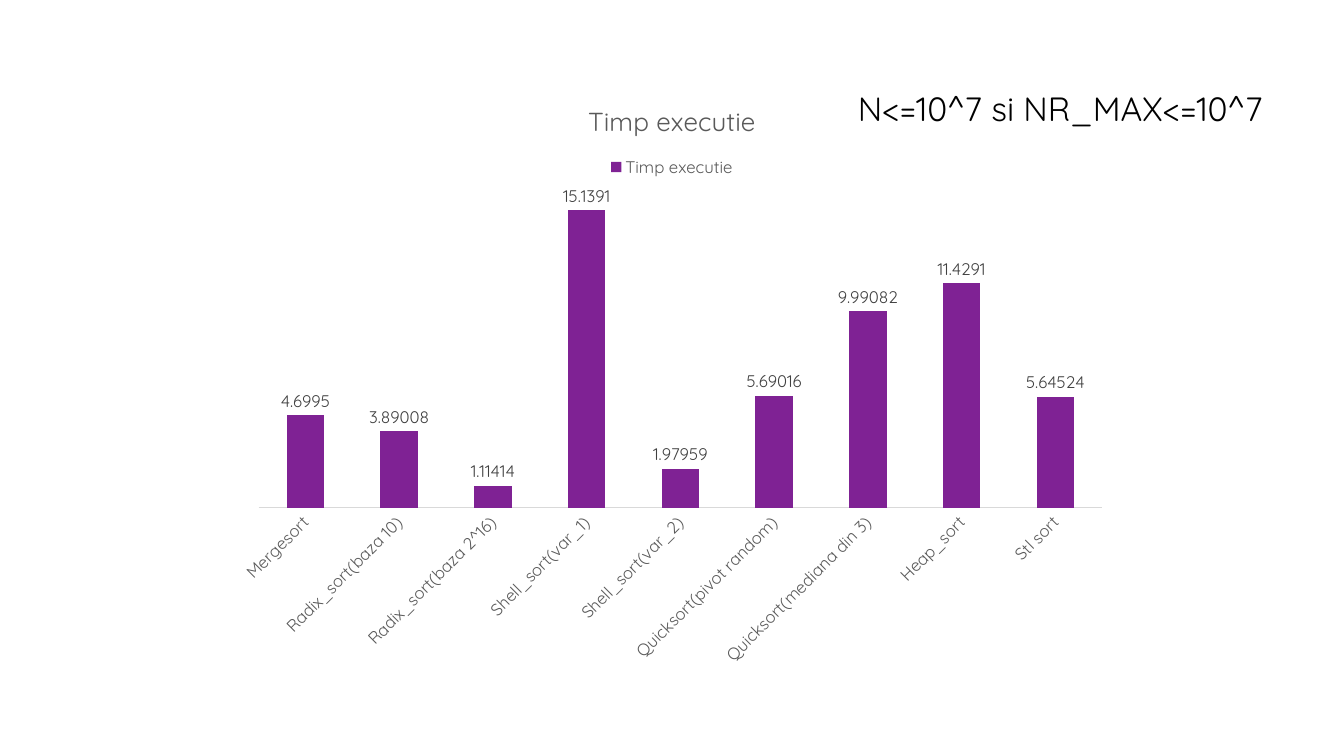
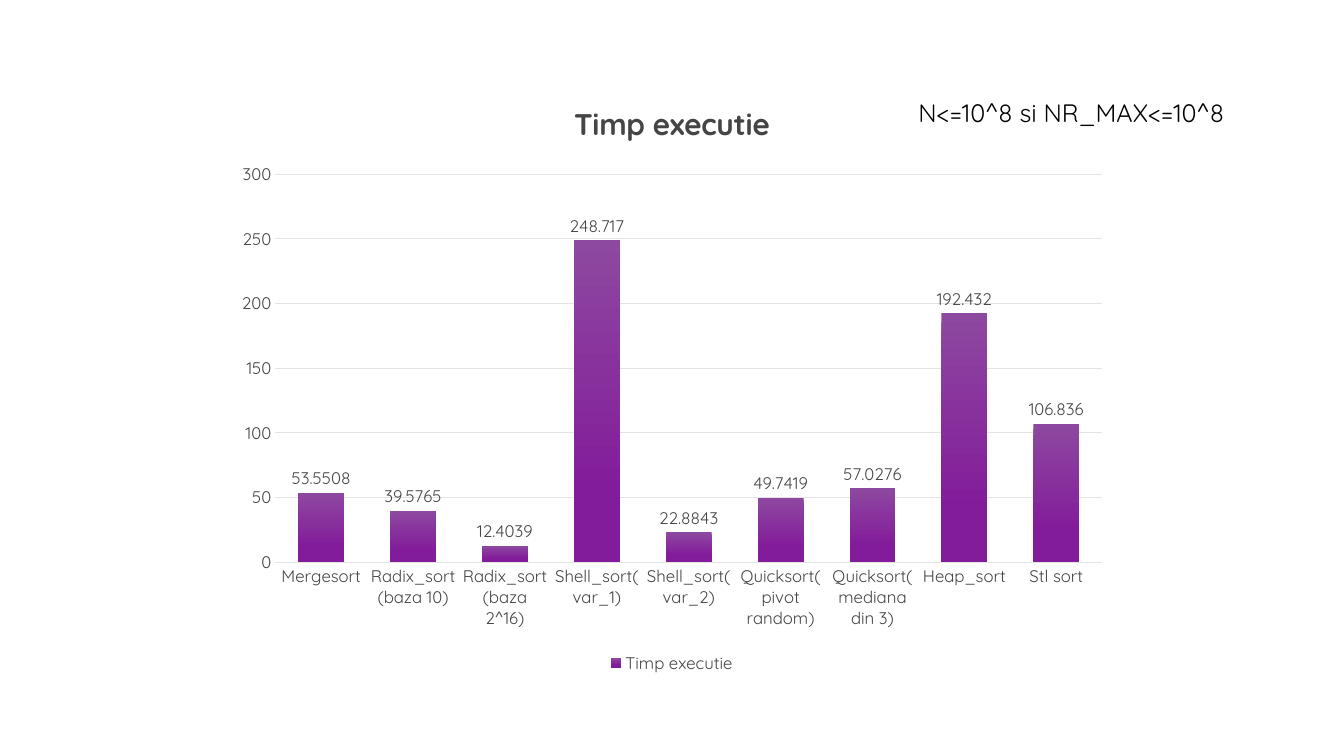
import pptx
import pptx.chart.data
import pptx.dml.color
import pptx.enum.chart
import pptx.enum.text
import pptx.util
from pptx.util import Inches

FONT = "Quicksand"
SERIES_NAME = "Timp executie"
LEGEND = pptx.enum.chart.XL_LEGEND_POSITION
CHART_FRAME = (2.22, 0.79, 8.89, 5.93)

ALGORITHMS = [
    "Mergesort", "Radix_sort(baza 10)", "Radix_sort(baza 2^16)",
    "Shell_sort(var_1)", "Shell_sort(var_2)", "Quicksort(pivot random)",
    "Quicksort(mediana din 3)", "Heap_sort", "Stl sort",
]

SLIDES = [
    {
        "caption": "N<=10^7 si NR_MAX<=10^7", "caption_size": 24,
        "caption_frame": (8.41, 0.82, 4.58, 0.5),
        "times": [4.6995, 3.89008, 1.11414, 15.1391, 1.97959,
                  5.69016, 9.99082, 11.4291, 5.64524],
        "title_size": 18.6, "title_bold": False,
        "text_color": "595959", "label_color": "404040", "line_color": "D9D9D9",
        "bar_stops": [(0, "7F2294")],
        "gap": 150, "overlap": -25, "label_angle": -45,
        "legend": LEGEND.TOP, "value_axis": False,
    },
    {
        "caption": "N<=10^8 si NR_MAX<=10^8", "caption_size": 18,
        "caption_frame": (9.01, 0.92, 3.77, 0.4),
        "times": [53.5508, 39.5765, 12.4039, 248.717, 22.8843,
                  49.7419, 57.0276, 192.432, 106.836],
        "title_size": 21.3, "title_bold": True,
        "text_color": "454545", "label_color": "454545", "line_color": "E3E3E3",
        "bar_stops": [(0, "8D48A0"), (0.78, "831C9A")],
        "gap": 100, "overlap": -24, "label_angle": 0,
        "legend": LEGEND.BOTTOM, "value_axis": True,
    },
]


def rgb(color):
    return pptx.dml.color.RGBColor.from_string(color)


def style_font(font, size, color, bold=False):
    font.name = FONT
    font.size = pptx.util.Pt(size)
    font.bold = bold
    font.color.rgb = rgb(color)


def style_line(line, color):
    line.color.rgb = rgb(color)
    line.width = pptx.util.Pt(0.75)


def fill_bars(fill, stops):
    """Use a solid fill for one stop, a top-to-bottom gradient for two."""
    if len(stops) == 1:
        fill.solid()
        fill.fore_color.rgb = rgb(stops[0][1])
        return
    fill.gradient()
    fill.gradient_angle = 270
    for stop, (position, color) in zip(fill.gradient_stops, stops):
        stop.position = position
        stop.color.rgb = rgb(color)


def style_axes(chart, content):
    category_axis, value_axis = chart.category_axis, chart.value_axis
    for axis in (category_axis, value_axis):
        axis.major_tick_mark = axis.minor_tick_mark = pptx.enum.chart.XL_TICK_MARK.NONE
        style_font(axis.tick_labels.font, 12, content["text_color"])
    style_line(category_axis.format.line, content["line_color"])
    # Label rotation is stored in 60000ths of a degree.
    body = category_axis._element.txPr.bodyPr
    body.set("rot", str(content["label_angle"] * 60000))
    body.set("vert", "horz")

    value_axis.minimum_scale = 0
    value_axis.visible = content["value_axis"]
    value_axis.has_major_gridlines = content["value_axis"]
    value_axis.format.line.fill.background()
    if content["value_axis"]:
        style_line(value_axis.major_gridlines.format.line, content["line_color"])


def style_bars(plot, content):
    plot.gap_width = content["gap"]
    plot.overlap = content["overlap"]
    plot.vary_by_categories = False
    series = plot.series[0]
    series.invert_if_negative = False
    fill_bars(series.format.fill, content["bar_stops"])
    labels = series.data_labels
    labels.show_value = True
    labels.position = pptx.enum.chart.XL_LABEL_POSITION.OUTSIDE_END
    style_font(labels.font, 12, content["label_color"])


def add_time_chart(page, content):
    data = pptx.chart.data.CategoryChartData()
    data.categories = ALGORITHMS
    data.add_series(SERIES_NAME, content["times"])
    chart = page.shapes.add_chart(
        pptx.enum.chart.XL_CHART_TYPE.COLUMN_CLUSTERED,
        *map(Inches, CHART_FRAME), data).chart
    style_font(chart.font, 10, "000000")

    chart.has_title = True
    span = chart.chart_title.text_frame.paragraphs[0].add_run()
    span.text = SERIES_NAME
    style_font(span.font, content["title_size"], content["text_color"],
               content["title_bold"])
    chart.has_legend = True
    chart.legend.position = content["legend"]
    chart.legend.include_in_layout = False
    style_font(chart.legend.font, 12, content["text_color"])

    style_axes(chart, content)
    style_bars(chart.plots[0], content)


def add_caption(page, content):
    box = page.shapes.add_textbox(*map(Inches, content["caption_frame"]))
    frame = box.text_frame
    frame.word_wrap = True
    frame.auto_size = pptx.enum.text.MSO_AUTO_SIZE.SHAPE_TO_FIT_TEXT
    span = frame.paragraphs[0].add_run()
    span.text = content["caption"]
    style_font(span.font, content["caption_size"], "000000")


def main():
    deck = pptx.Presentation()
    deck.slide_width, deck.slide_height = Inches(13.33), Inches(7.5)
    for content in SLIDES:
        page = deck.slides.add_slide(deck.slide_layouts[6])
        add_time_chart(page, content)
        add_caption(page, content)
    deck.save("out.pptx")


if __name__ == "__main__":
    main()
